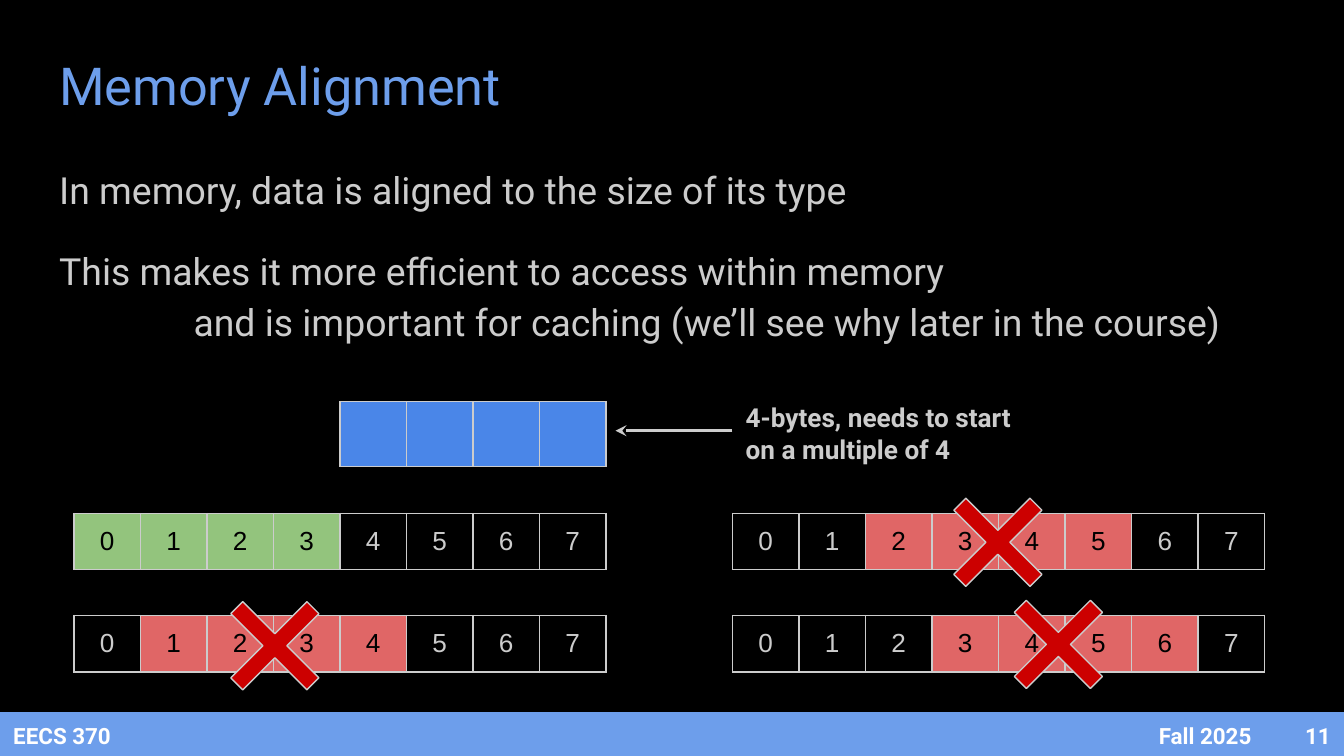
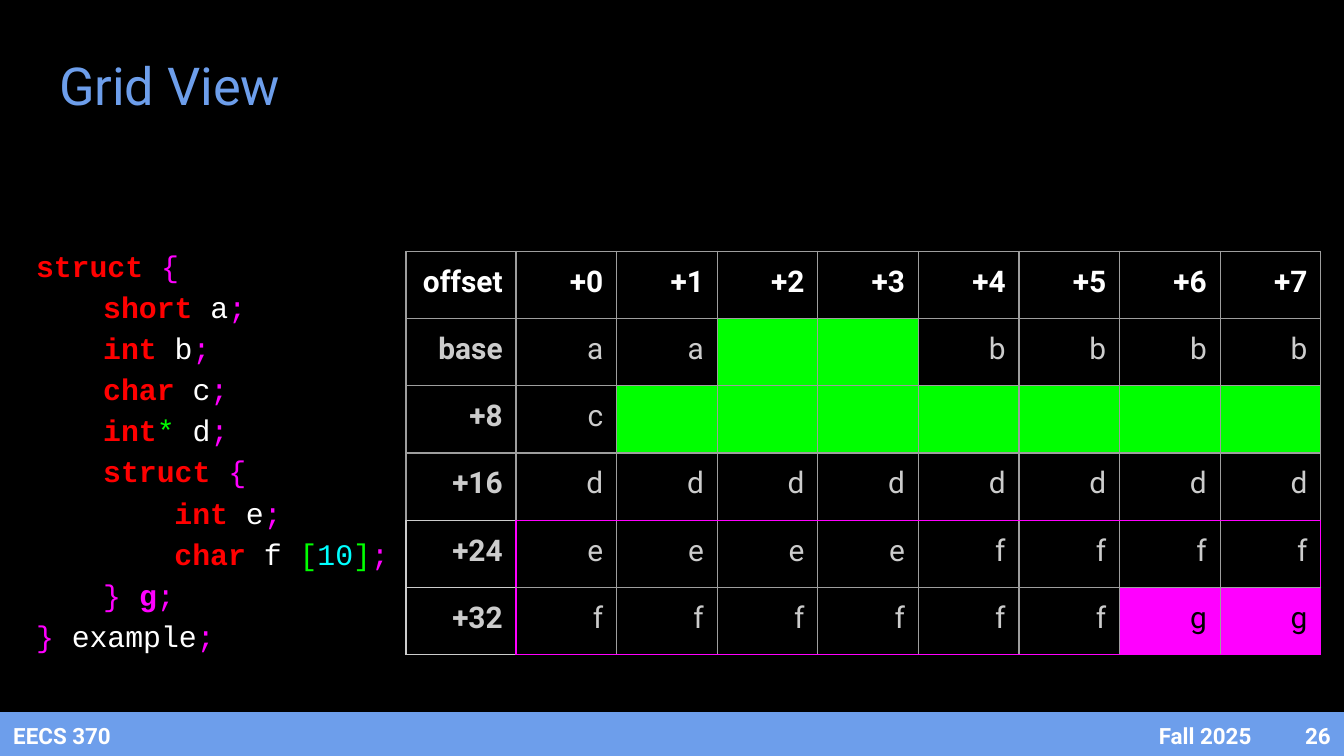
from lxml import etree
from pptx import Presentation
from pptx import util as u
from pptx.dml.color import RGBColor
from pptx.enum import shapes, text
from pptx.oxml import ns

COLORS = {
    "black": "000000", "white": "FFFFFF", "accent": "6D9EEB", "body": "CCCCCC",
    "grid": "9E9E9E", "data": "4A86E8", "good": "93C47D", "bad": "E06666",
    "cross": "CC0000", "red": "FF0000", "magenta": "FF00FF", "lime": "00FF00",
    "cyan": "00FFFF",
}
LEFT, CENTER, RIGHT = text.PP_ALIGN.LEFT, text.PP_ALIGN.CENTER, text.PP_ALIGN.RIGHT
MIDDLE, TOP = text.MSO_ANCHOR.MIDDLE, text.MSO_ANCHOR.TOP

# Text formats: font name, size, bold, colour
TITLE = {"name": "Roboto", "size": 28, "bold": False, "color": "accent"}
BODY = {**TITLE, "size": 20, "color": "body"}
FOOTER = {**TITLE, "size": 12, "bold": True, "color": "white"}
CALLOUT = {**FOOTER, "size": 14, "color": "body"}
BYTE = {"name": "Arial", "size": 14, "bold": False, "color": "body"}
GRID = {**BODY, "size": 16}
CODE = {"name": "Courier New", "size": 16, "bold": False, "color": "white"}

# Code tokens
KEYWORD = {**CODE, "bold": True, "color": "red"}
MARK = {**CODE, "color": "magenta"}
OPERATOR = {**CODE, "color": "lime"}
NUMBER = {**CODE, "color": "cyan"}
MEMBER = {**MARK, "bold": True}

INDENT, NESTED = 0.5, 1.03
STRUCT_CODE = [
    (0, [("struct ", KEYWORD), ("{", MARK)]),
    (INDENT, [("short ", KEYWORD), ("a", CODE), (";", MARK)]),
    (INDENT, [("int ", KEYWORD), ("b", CODE), (";", MARK)]),
    (INDENT, [("char ", KEYWORD), ("c", CODE), (";", MARK)]),
    (INDENT, [("int", KEYWORD), ("*", OPERATOR), (" d", CODE), (";", MARK)]),
    (INDENT, [("struct ", KEYWORD), ("{", MARK)]),
    (NESTED, [("int ", KEYWORD), ("e", CODE), (";", MARK)]),
    (NESTED, [("char ", KEYWORD), ("f ", CODE), ("[", OPERATOR), ("10", NUMBER),
              ("]", OPERATOR), (";", MARK)]),
    (INDENT, [("} ", MARK), ("g", MEMBER), (";", MARK)]),
    (0, [("} ", MARK), ("example", CODE), (";", MARK)]),
]
# Bytes of the struct; "." is padding
OFFSETS = ["base", "+8", "+16", "+24", "+32"]
LAYOUT = ["aa..bbbb", "c.......", "dddddddd", "eeeeffff", "ffffffgg"]


def rgb(name):
    return RGBColor.from_string(COLORS[name])


def inches(*lengths):
    return [u.Inches(length) for length in lengths]


def set_all(target, values):
    for name, value in values.items():
        setattr(target, name, value)


def set_margins(target):
    for side in ("left", "top", "right", "bottom"):
        setattr(target, f"margin_{side}", u.Inches(0.1))


def add_span(para, words, style):
    span = para.add_run()
    span.text = words
    set_all(span.font, {"name": style["name"], "size": u.Pt(style["size"]),
                        "bold": style["bold"]})
    span.font.color.rgb = rgb(style["color"])


def write(para, words, style, align=LEFT, **spacing):
    """Fill a paragraph, with a line break at each newline."""
    set_all(para, {"alignment": align, **spacing})
    for number, line in enumerate(words.split("\n")):
        if number:
            para.add_line_break()
        add_span(para, line, style)


def frame_of(box, anchor=TOP):
    frame = box.text_frame
    set_all(frame, {"word_wrap": True, "auto_size": text.MSO_AUTO_SIZE.NONE,
                    "vertical_anchor": anchor})
    set_margins(frame)
    return frame


def place(box, left, top, width, height):
    set_all(box, dict(zip(("left", "top", "width", "height"),
                          inches(left, top, width, height))))


def add_label(page, at, words, style, align=LEFT, anchor=TOP):
    box = page.shapes.add_textbox(*inches(*at))
    write(frame_of(box, anchor).paragraphs[0], words, style, align)
    return box


def add_shape(page, preset, at, fill, line=None):
    shape = page.shapes.add_shape(preset, *inches(*at))
    shape.shadow.inherit = False
    shape.fill.solid()
    shape.fill.fore_color.rgb = rgb(fill)
    if line:
        shape.line.color.rgb = rgb(line)
        shape.line.width = u.Pt(0.75)
    else:
        shape.line.fill.background()
    return shape


def add_page(deck, layout, title, number):
    """Add a page with the shared title and footer band."""
    page = deck.slides.add_slide(deck.slide_layouts[layout])
    add_shape(page, shapes.MSO_SHAPE.RECTANGLE, (0, 5.3, 10, 0.34), "accent")
    for left, width, words, align in ((0, 1.82, "EECS 370", LEFT),
                                      (7.59, 1.82, "Fall 2025", RIGHT),
                                      (9.41, 0.59, number, RIGHT)):
        add_label(page, (left, 5.3, width, 0.34), words, FOOTER, align, MIDDLE)
    place(page.shapes.title, 0.34, 0, 8.1, 1.26)
    write(frame_of(page.shapes.title, MIDDLE).paragraphs[0], title, TITLE)
    return page


def add_body(page, paragraphs):
    box = page.placeholders[1]
    place(box, 0.34, 1.09, 9.32, 1.49)
    frame = frame_of(box)
    for number, words in enumerate(paragraphs):
        para = frame.add_paragraph() if number else frame.paragraphs[0]
        gap = u.Pt(16 if number else 0)
        write(para, words, BODY, line_spacing=1.15, space_before=gap, space_after=gap)
        # No bullet, tab stops an inch apart
        props = para._p.get_or_add_pPr()
        for name, length in (("marL", 0), ("indent", 0), ("defTabSz", 1)):
            props.set(name, str(u.Inches(length)))
        etree.SubElement(props, ns.qn("a:buNone"))


def add_table(page, left, top, widths, heights):
    frame = page.shapes.add_table(len(heights), len(widths),
                                  *inches(left, top, sum(widths), sum(heights)))
    table = frame.table
    set_all(table, {"first_row": False, "horz_banding": False})
    for column, width in zip(table.columns, widths):
        column.width = u.Inches(width)
    for row, height in zip(table.rows, heights):
        row.height = u.Inches(height)
    return table


def format_cell(cell, words, style, align, fill, borders):
    """Set borders (left, right, top, bottom colours), fill and text."""
    props = cell._tc.get_or_add_tcPr()
    for side, color in zip("LRTB", borders):
        line = etree.SubElement(props, ns.qn(f"a:ln{side}"), w=str(u.Pt(0.75)))
        solid = etree.SubElement(line, ns.qn("a:solidFill"))
        etree.SubElement(solid, ns.qn("a:srgbClr"), val=COLORS[color])
    if fill:
        cell.fill.solid()
        cell.fill.fore_color.rgb = rgb(fill)
    else:
        cell.fill.background()
    if words:
        set_margins(cell)
        write(cell.text_frame.paragraphs[0], words, style, align)


def add_byte_row(page, left, top, labels, filled, fill, height=0.42):
    table = add_table(page, left, top, [3.96 / 8] * len(labels), [height])
    for number, label in enumerate(labels):
        used = number in filled
        style = {**BYTE, "color": "black" if used else "body"}
        format_cell(table.cell(0, number), label, style, CENTER,
                    fill if used else None, ["body"] * 4)


def add_cross(page, left, top):
    cross = add_shape(page, shapes.MSO_SHAPE.MATH_MULTIPLY, (left, top, 1.09, 1.09),
                      "cross", "body")
    cross.adjustments[0] = 0.116


def add_arrow(page, box, end):
    """Draw a level arrow from the left side of a box."""
    middle = box.top + box.height // 2
    arrow = page.shapes.add_connector(shapes.MSO_CONNECTOR.STRAIGHT,
                                      box.left, middle, u.Inches(end), middle)
    arrow.begin_connect(box, 1)
    arrow.line.color.rgb = rgb("body")
    arrow.line.width = u.Pt(1.5)
    etree.SubElement(arrow.line._get_or_add_ln(), ns.qn("a:tailEnd"), type="stealth")
    etree.SubElement(arrow._element.spPr, ns.qn("a:effectLst"))


def grid_borders(row, column):
    """Grey grid, with a magenta frame round the nested struct."""
    nested = row >= 4
    if column == 0:
        if nested:
            return ["body", "magenta", "body", "body"]
        return ["grid"] * 3 + ["body" if row == 3 else "grid"]
    framed = (nested and column == 1, nested and column == 8, row == 4, row in (3, 5))
    return ["magenta" if edge else "grid" for edge in framed]


def add_offset_grid(page):
    rows = [["offset"] + [f"+{number}" for number in range(8)]]
    rows += [[offset, *data] for offset, data in zip(OFFSETS, LAYOUT)]
    table = add_table(page, 3.02, 1.87, [0.82] + [5.99 / 8] * 8, [0.5] * len(rows))
    fills = {".": "lime", "g": "magenta"}
    for row, labels in enumerate(rows):
        for column, label in enumerate(labels):
            color = "white" if row == 0 else "black" if label == "g" else "body"
            style = {**GRID, "bold": row == 0 or column == 0, "color": color}
            format_cell(table.cell(row, column), label.strip("."), style, RIGHT,
                        fills.get(label), grid_borders(row, column))


def add_code(page, at, lines):
    frame = frame_of(page.shapes.add_textbox(*inches(*at)))
    for number, (indent, tokens) in enumerate(lines):
        para = frame.add_paragraph() if number else frame.paragraphs[0]
        para.line_spacing = 1.15
        para._p.get_or_add_pPr().set("marL", str(u.Inches(indent)))
        for words, style in tokens:
            add_span(para, words, style)


def build_alignment(deck):
    page = add_page(deck, 1, "Memory Alignment", "11")
    add_body(page, [
        "In memory, data is aligned to the size of its type",
        "This makes it more efficient to access within memory \n"
        "\tand is important for caching (we’ll see why later in the course)",
    ])
    # Possible starts of the four bytes
    for left, top, start, fill in ((0.55, 4.58, 1, "bad"), (0.55, 3.82, 0, "good"),
                                   (5.45, 4.58, 3, "bad"), (5.45, 3.82, 2, "bad")):
        add_byte_row(page, left, top, "01234567", range(start, start + 4), fill)
    add_byte_row(page, 2.53, 2.99, [""] * 4, range(4), "data", 0.48)
    callout = add_label(page, (5.45, 2.89, 2.33, 0.63),
                        "4-bytes, needs to start \non a multiple of 4", CALLOUT)
    add_arrow(page, callout, 4.58)
    for left, top in ((6.88, 3.49), (7.33, 4.25), (1.5, 4.26)):
        add_cross(page, left, top)


def build_grid_view(deck):
    page = add_page(deck, 5, "Grid View", "26")
    add_offset_grid(page)
    add_code(page, (0.17, 1.7, 2.94, 3.05), STRUCT_CODE)


def main():
    deck = Presentation()
    # Widescreen, 16 to 9
    deck.slide_width = u.Inches(10)
    deck.slide_height = u.Inches(10 * 9 / 16)
    background = deck.slide_master.background.fill
    background.solid()
    background.fore_color.rgb = rgb("black")
    build_alignment(deck)
    build_grid_view(deck)
    deck.save("out.pptx")


if __name__ == "__main__":
    main()
